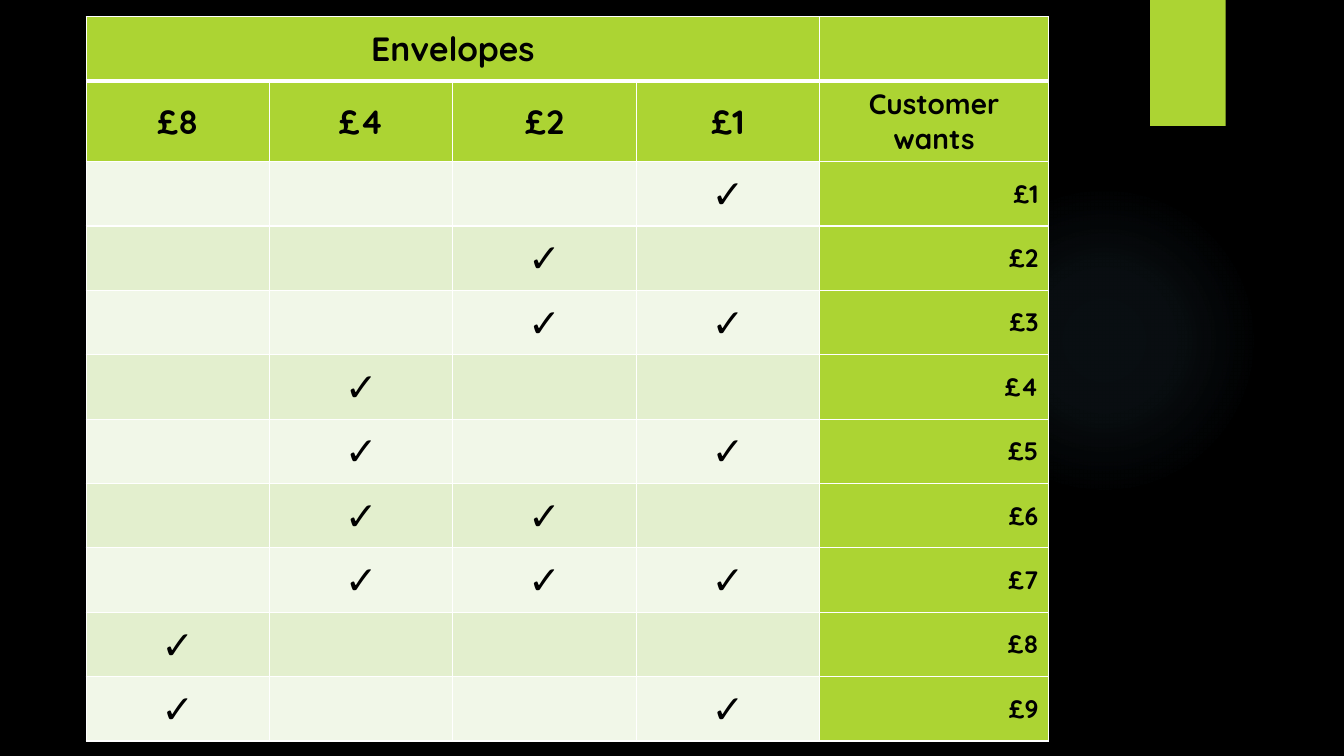
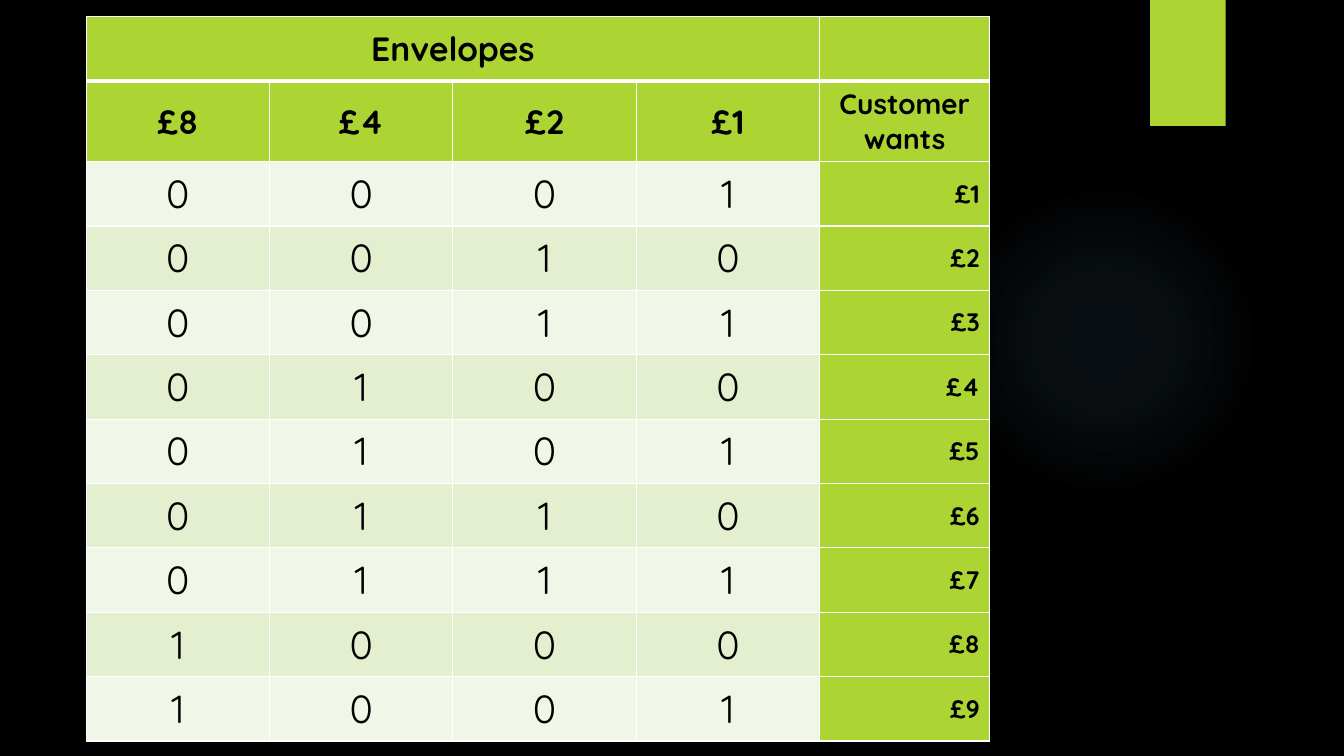
from dataclasses import dataclass

from lxml import etree
from pptx import Presentation
from pptx import util as u
from pptx.dml.color import RGBColor
from pptx.enum import shapes, text
from pptx.oxml import ns

SCALE = 6350
FONT = "Quicksand"
BLACK = RGBColor(0x00, 0x00, 0x00)
WHITE = RGBColor(0xFF, 0xFF, 0xFF)
LIME = RGBColor(0xAC, 0xD4, 0x33)
PALE_GREEN = RGBColor(0xF1, 0xF7, 0xE8)
SOFT_GREEN = RGBColor(0xE3, 0xEF, 0xCE)
GLOW_BLUE = RGBColor(0x7A, 0xC4, 0xF0)

GLOW_STOPS = ((0, 7), (36, 6), (69, 0))
ENVELOPES = (8, 4, 2, 1)
AMOUNTS = range(1, 10)
WANTS_COLUMN = len(ENVELOPES)
TABLE_LEFT, TABLE_TOP = 123, 24
ENVELOPE_WIDTH = 262
ROW_HEIGHT, HEADING_HEIGHT = 92, 115
THIN, THICK = 1, 3


@dataclass(frozen=True)
class EnvelopeChart:
    used: str
    unused: str
    wants_width: int


@dataclass(frozen=True)
class CellStyle:
    fill: RGBColor
    size: int
    bold: bool = True
    align: text.PP_ALIGN = text.PP_ALIGN.CENTER


TITLE = CellStyle(LIME, 24)
WANTS_HEADING = CellStyle(LIME, 20)
WANTED_AMOUNT = CellStyle(LIME, 18, align=text.PP_ALIGN.RIGHT)
MARKS = (CellStyle(PALE_GREEN, 28, bold=False), CellStyle(SOFT_GREEN, 28, bold=False))

CHARTS = (
    EnvelopeChart("✓", "", 327),
    EnvelopeChart("1", "0", 243),
)


def px(length: int) -> u.Emu:
    return u.Emu(length * SCALE)


def add_element(parent, tag: str, **attributes):
    element = etree.SubElement(parent, ns.qn(tag))
    for key, value in attributes.items():
        element.set(key, str(value))
    return element


def add_color(parent, color: RGBColor, opacity: int = 100) -> None:
    element = add_element(parent, "a:srgbClr", val=color)
    if opacity < 100:
        add_element(element, "a:alpha", val=opacity * 1000)


def add_plain_shape(slide, kind, left: int, top: int, width: int, height: int):
    shape = slide.shapes.add_shape(kind, px(left), px(top), px(width), px(height))
    shape.shadow.inherit = False
    shape.line.fill.background()
    return shape


def add_glow(slide):
    glow = add_plain_shape(slide, shapes.MSO_SHAPE.OVAL, 1355, 264, 444, 444)
    glow.fill.gradient()
    gradient = glow.element.spPr.find(ns.qn("a:gradFill"))
    for child in list(gradient):
        gradient.remove(child)
    stops = add_element(gradient, "a:gsLst")
    for position, opacity in GLOW_STOPS:
        stop = add_element(stops, "a:gs", pos=position * 1000)
        add_color(stop, GLOW_BLUE, opacity)
    circle = add_element(gradient, "a:path", path="circle")
    add_element(circle, "a:fillToRect", l=50000, t=50000, r=50000, b=50000)
    return glow


def add_tab(slide):
    tab = add_plain_shape(slide, shapes.MSO_SHAPE.RECTANGLE, 1643, 0, 108, 180)
    tab.fill.solid()
    tab.fill.fore_color.rgb = LIME
    effects = tab.element.spPr.find(ns.qn("a:effectLst"))
    shadow = add_element(effects, "a:outerShdw", blurRad=u.Pt(3), dist=u.Pt(2),
                         dir=90 * 60000, rotWithShape=0)
    add_color(shadow, BLACK, 45)
    return tab


def decorate_master(master, slide) -> None:
    master.background.fill.solid()
    master.background.fill.fore_color.rgb = BLACK
    for decoration in (add_glow(slide), add_tab(slide)):
        master.shapes.element.append(decoration.element)


def set_borders(cell, top: int = THIN, bottom: int = THIN) -> None:
    properties = cell._tc.get_or_add_tcPr()
    widths = {"a:lnL": THIN, "a:lnR": THIN, "a:lnT": top, "a:lnB": bottom}
    for tag, width in widths.items():
        border = add_element(properties, tag, w=u.Pt(width))
        add_color(add_element(border, "a:solidFill"), WHITE)


def fill_cell(cell, words: str, style: CellStyle) -> None:
    cell.fill.solid()
    cell.fill.fore_color.rgb = style.fill
    cell.vertical_anchor = text.MSO_ANCHOR.MIDDLE
    cell.text_frame.text = words
    paragraph = cell.text_frame.paragraphs[0]
    paragraph.alignment = style.align
    paragraph.font.size = u.Pt(style.size)
    for run in paragraph.runs:
        run.font.name = FONT
        run.font.size = u.Pt(style.size)
        run.font.bold = style.bold
        run.font.color.rgb = BLACK


def add_envelope_table(slide, chart: EnvelopeChart) -> None:
    widths = [ENVELOPE_WIDTH] * len(ENVELOPES) + [chart.wants_width]
    heights = [ROW_HEIGHT, HEADING_HEIGHT] + [ROW_HEIGHT] * len(AMOUNTS)
    table = slide.shapes.add_table(
        len(heights), len(widths), px(TABLE_LEFT), px(TABLE_TOP),
        px(sum(widths)), px(sum(heights))).table
    table.first_row = table.horz_banding = False
    for column, width in zip(table.columns, widths):
        column.width = px(width)
    for row, height in zip(table.rows, heights):
        row.height = px(height)

    for row in range(len(heights)):
        for column in range(len(widths)):
            set_borders(table.cell(row, column),
                        top=THICK if row == 1 else THIN,
                        bottom=THICK if row == 0 else THIN)

    table.cell(0, 0).merge(table.cell(0, WANTS_COLUMN - 1))
    fill_cell(table.cell(0, 0), "Envelopes", TITLE)
    fill_cell(table.cell(0, WANTS_COLUMN), "", TITLE)
    for column, value in enumerate(ENVELOPES):
        fill_cell(table.cell(1, column), f"£{value}", TITLE)
    fill_cell(table.cell(1, WANTS_COLUMN), "Customer wants", WANTS_HEADING)

    for row, amount in enumerate(AMOUNTS, start=2):
        for column, value in enumerate(ENVELOPES):
            mark = chart.used if amount & value else chart.unused
            fill_cell(table.cell(row, column), mark, MARKS[row % 2])
        fill_cell(table.cell(row, WANTS_COLUMN), f"£{amount}", WANTED_AMOUNT)


def main() -> None:
    deck = Presentation()
    deck.slide_width, deck.slide_height = px(1920), px(1080)
    blank = deck.slide_layouts[6]
    slides = [deck.slides.add_slide(blank) for _ in CHARTS]
    decorate_master(deck.slide_master, slides[0])
    for slide, chart in zip(slides, CHARTS):
        add_envelope_table(slide, chart)
    deck.save("out.pptx")


if __name__ == "__main__":
    main()
